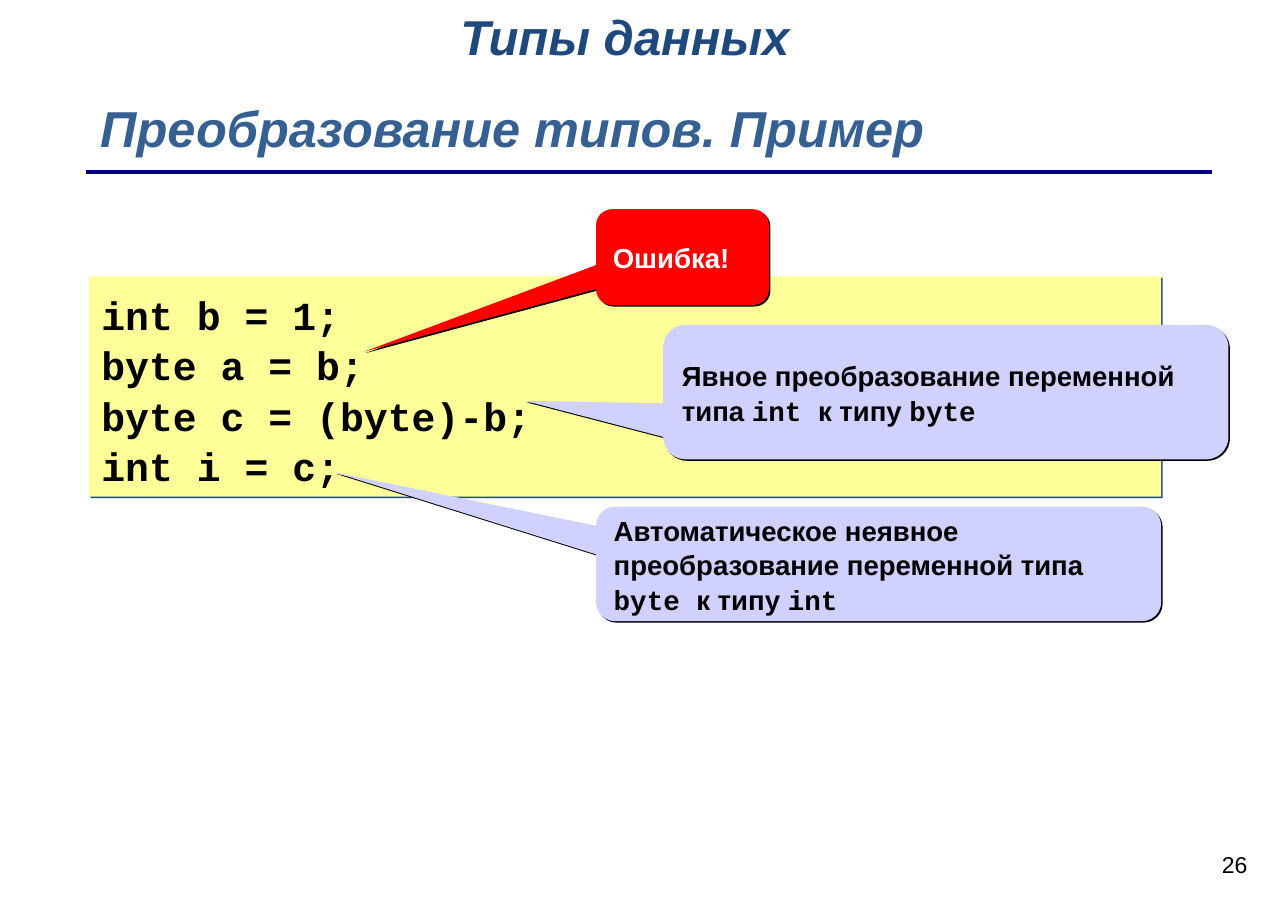
import dataclasses
import typing

import lxml.etree
import pptx
import pptx.dml.color
import pptx.enum.shapes
import pptx.enum.text
import pptx.oxml.ns
import pptx.util

RGB = pptx.dml.color.RGBColor
SHAPE = pptx.enum.shapes.MSO_SHAPE
ALIGN = pptx.enum.text.PP_ALIGN
ANCHOR = pptx.enum.text.MSO_ANCHOR

BLACK = RGB(0x00, 0x00, 0x00)
WHITE = RGB(0xFF, 0xFF, 0xFF)
RED = RGB(0xFF, 0x00, 0x00)
NAVY = RGB(0x00, 0x00, 0x80)
DARK_BLUE = RGB(0x1F, 0x49, 0x7D)
TITLE_BLUE = RGB(0x37, 0x60, 0x92)
YELLOW = RGB(0xFF, 0xFF, 0x99)
LILAC = RGB(0xD1, 0xD1, 0xFF)

SANS = "Arial"
MONO = "Courier New"
PX_PER_INCH = 100

Box = tuple[int, int, int, int]
Run = tuple[str, str]


@dataclasses.dataclass
class Callout:
    box: Box
    tail: tuple[float, float]
    fill: RGB
    color: RGB
    runs: list[Run]


CODE = ["int b = 1;", "byte a = b;", "byte c = (byte)-b;", "int i = c;"]

CALLOUTS = [
    Callout((602, 295, 513, 122), (-0.745, 0.065), LILAC, BLACK,
            [("Явное преобразование переменной типа ", SANS), ("int ", MONO),
             ("к типу ", SANS), ("byte", MONO)]),
    Callout((541, 460, 513, 104), (-0.963, -0.8), LILAC, BLACK,
            [("Автоматическое неявное преобразование переменной типа ", SANS),
             ("byte ", MONO), ("к типу ", SANS), ("int", MONO)]),
    Callout((541, 190, 157, 87), (-1.842, 0.987), RED, WHITE, [("Ошибка!", SANS)]),
]


def px(n: int) -> int:
    return pptx.util.Emu(n * pptx.util.Inches(1) // PX_PER_INCH)


def apply(target: typing.Any, values: dict[str, typing.Any]) -> None:
    for name, value in values.items():
        setattr(target, name, value)


def place(sp: typing.Any, box: Box) -> None:
    apply(sp, dict(zip(("left", "top", "width", "height"), map(px, box))))


def write(sp: typing.Any, lines: list[list[Run]], size: int, color: RGB,
          margins: Box = (10, 5, 10, 5), anchor: typing.Any = ANCHOR.TOP,
          align: typing.Any = ALIGN.LEFT, spacing: float = 1.0,
          bold: bool = True, italic: bool = False) -> None:
    tf = sp.text_frame
    sides = ("margin_left", "margin_top", "margin_right", "margin_bottom")
    apply(tf, dict(zip(sides, map(px, margins))))
    apply(tf, {"word_wrap": True, "vertical_anchor": anchor,
               "auto_size": pptx.enum.text.MSO_AUTO_SIZE.NONE})
    for i, runs in enumerate(lines):
        p = tf.paragraphs[0] if i == 0 else tf.add_paragraph()
        apply(p, {"alignment": align, "line_spacing": spacing})
        for text, font in runs:
            r = p.add_run()
            r.text = text
            apply(r.font, {"name": font, "size": pptx.util.Pt(size),
                           "bold": bold, "italic": italic})
            r.font.color.rgb = color


def add_effects(sp: typing.Any) -> typing.Any:
    return lxml.etree.SubElement(sp._element.spPr, pptx.oxml.ns.qn("a:effectLst"))


def add_filled(slide: typing.Any, kind: typing.Any, box: Box, fill: RGB,
               shadow: RGB) -> typing.Any:
    sp = slide.shapes.add_shape(kind, *map(px, box))
    sp.fill.solid()
    sp.fill.fore_color.rgb = fill
    sp.line.fill.background()
    qn = pptx.oxml.ns.qn
    outer = lxml.etree.SubElement(
        add_effects(sp), qn("a:outerShdw"), dist=str(pptx.util.Pt(1.4)),
        dir="2700000", algn="ctr", rotWithShape="0")
    lxml.etree.SubElement(outer, qn("a:srgbClr"), val=str(shadow))
    return sp


def add_callout(slide: typing.Any, c: Callout) -> None:
    sp = add_filled(slide, SHAPE.ROUNDED_RECTANGULAR_CALLOUT, c.box, c.fill, BLACK)
    for i, value in enumerate((*c.tail, 0.167)):
        sp.adjustments[i] = value
    write(sp, [c.runs], 18, c.color, (11, 6, 11, 6), ANCHOR.MIDDLE, spacing=1.05)


def add_text(slide: typing.Any, box: Box, text: str, size: int, color: RGB,
             **options: typing.Any) -> None:
    sp = slide.shapes.add_textbox(*map(px, box))
    write(sp, [[(text, SANS)]], size, color, **options)


def main() -> None:
    prs = pptx.Presentation()
    apply(prs, {"slide_width": px(1169), "slide_height": px(828)})
    slide = prs.slides.add_slide(prs.slide_layouts[5])

    title = slide.shapes.title
    place(title, (81, 79, 983, 65))
    write(title, [[("Преобразование типов. Пример", SANS)]], 33, TITLE_BLUE,
          margins=(10, 9, 10, 5), italic=True)

    rule = slide.shapes.add_connector(
        pptx.enum.shapes.MSO_CONNECTOR.STRAIGHT, *map(px, (78, 156, 1100, 156)))
    rule.line.color.rgb = NAVY
    rule.line.width = pptx.util.Pt(3)
    add_effects(rule)

    code = add_filled(slide, SHAPE.RECTANGLE, (81, 251, 973, 200), YELLOW, DARK_BLUE)
    write(code, [[(line, MONO)] for line in CODE], 26, BLACK, (11, 10, 11, 6),
          spacing=1.06)

    for c in CALLOUTS:
        add_callout(slide, c)

    add_text(slide, (388, -3, 340, 64), "Типы данных", 32, DARK_BLUE,
             margins=(30, 9, 0, 5), italic=True)
    add_text(slide, (885, 767, 257, 57), "26", 15, BLACK, align=ALIGN.RIGHT, bold=False)

    prs.save("out.pptx")


if __name__ == "__main__":
    main()
